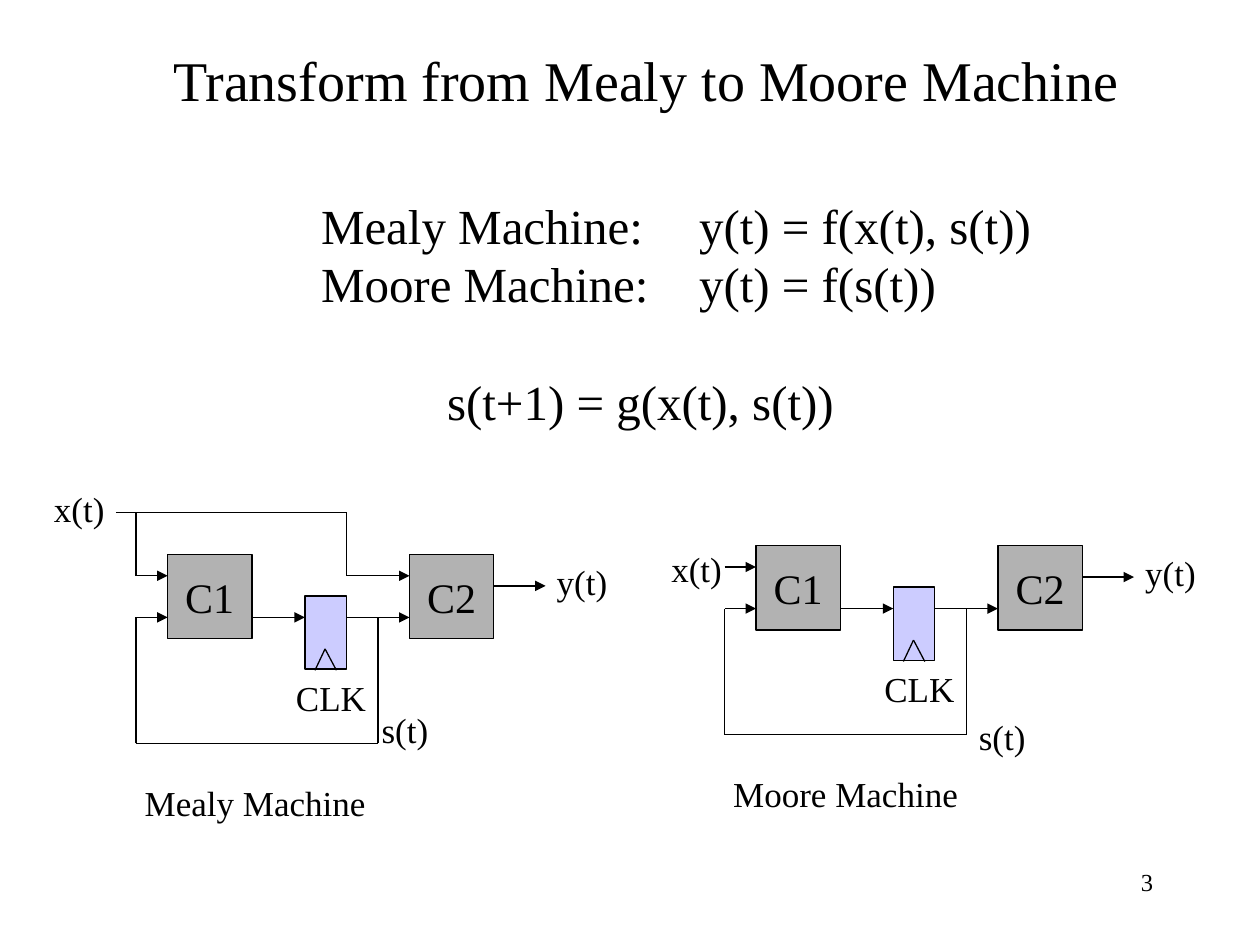
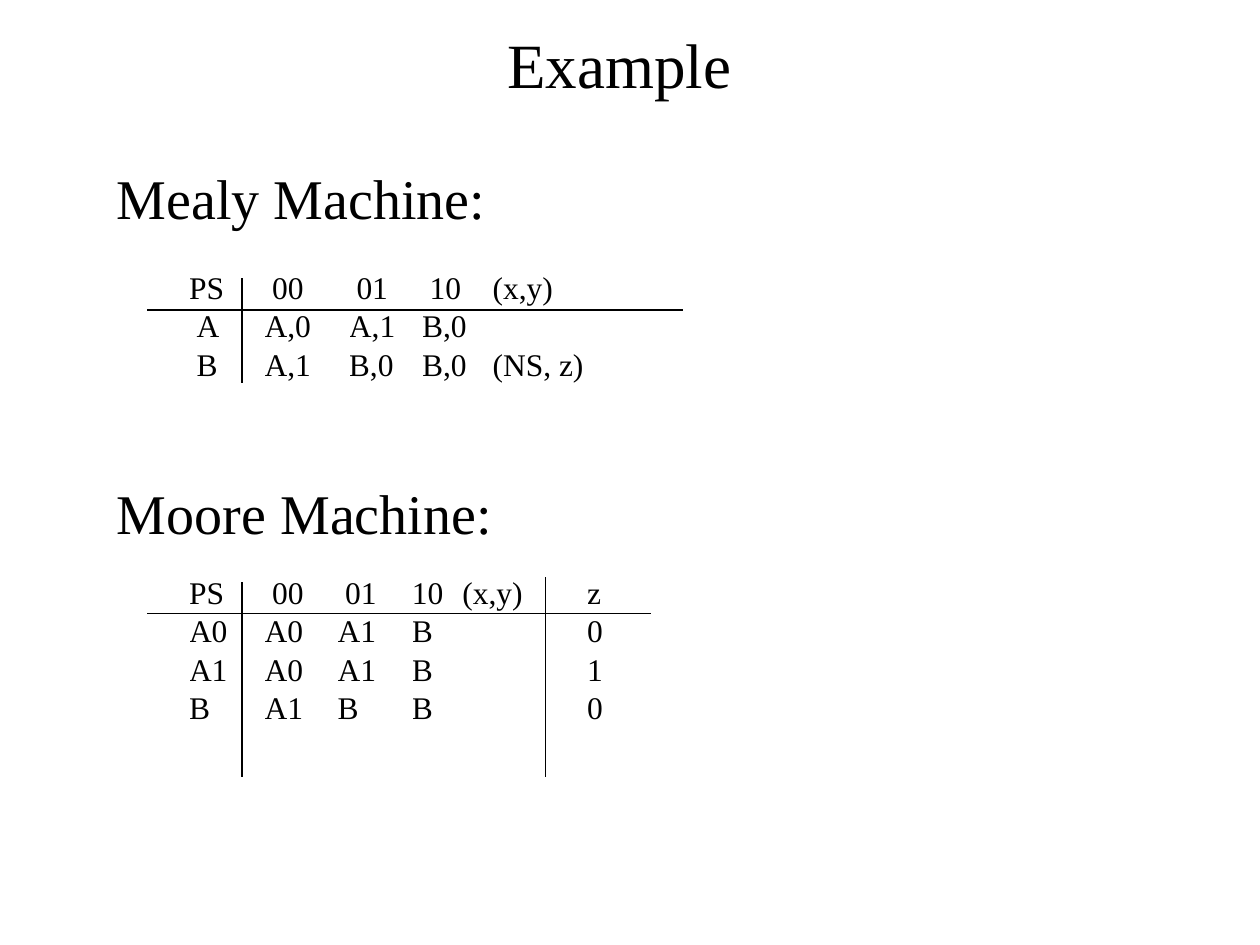
from itertools import pairwise

from lxml import etree
from pptx import Presentation
from pptx.dml.color import RGBColor
from pptx.enum.shapes import MSO_CONNECTOR, MSO_SHAPE
from pptx.enum.text import MSO_ANCHOR, MSO_AUTO_SIZE, PP_ALIGN
from pptx.oxml.ns import qn
from pptx.util import Inches, Pt

BLACK = RGBColor(0x00, 0x00, 0x00)
LOGIC_GRAY = RGBColor(0xB2, 0xB2, 0xB2)
REGISTER_BLUE = RGBColor(0xCC, 0xCC, 0xFF)
FONT = "Times New Roman"
LINE_WIDTH = Pt(0.75)
LINE_SPACING = 1.2
TITLE_ONLY = 5
ROW_HEIGHT = 0.305
CELL_INDENT = 0.06


class Deck:
    def __init__(self):
        self.prs = Presentation()
        self.prs.slide_width = Inches(10)
        self.prs.slide_height = Inches(7.5)
        self.s = None

    def format(self, p, size, align=PP_ALIGN.LEFT):
        p.alignment = align
        for r in p.runs:
            r.font.name = FONT
            r.font.size = Pt(size)
            r.font.color.rgb = BLACK

    def slide(self, title, left, width, height, size):
        self.s = self.prs.slides.add_slide(self.prs.slide_layouts[TITLE_ONLY])
        sp = self.s.shapes.title
        sp.left, sp.top = Inches(left), Inches(0)
        sp.width, sp.height = Inches(width), Inches(height)
        tf = sp.text_frame
        tf.text = title
        tf.auto_size = MSO_AUTO_SIZE.NONE
        tf.vertical_anchor = MSO_ANCHOR.MIDDLE
        self.format(tf.paragraphs[0], size, PP_ALIGN.CENTER)

    def text(self, text, left, top, width, height, size,
             align=PP_ALIGN.LEFT, tabs=()):
        box = self.s.shapes.add_textbox(
            Inches(left), Inches(top), Inches(width), Inches(height))
        tf = box.text_frame
        tf.text = text
        tf.word_wrap = True
        if align == PP_ALIGN.LEFT:
            tf.margin_right = 0
        for p in tf.paragraphs:
            p.line_spacing = Pt(size * LINE_SPACING)
            if tabs:
                tab_list = etree.SubElement(p._p.get_or_add_pPr(), qn("a:tabLst"))
                for tab in tabs:
                    etree.SubElement(tab_list, qn("a:tab"),
                                     pos=str(Inches(tab)), algn="l")
            self.format(p, size, align)
        return tf

    def label(self, text, at, width):
        self.text(text, *at, width, 0.44, 20)

    def block(self, at, width, height, fill, text=""):
        sp = self.s.shapes.add_shape(
            MSO_SHAPE.RECTANGLE, Inches(at[0]), Inches(at[1]),
            Inches(width), Inches(height))
        sp.shadow.inherit = False
        sp.fill.solid()
        sp.fill.fore_color.rgb = fill
        sp.line.color.rgb = BLACK
        sp.line.width = LINE_WIDTH
        if text:
            tf = sp.text_frame
            tf.text = text
            tf.word_wrap = False
            tf.vertical_anchor = MSO_ANCHOR.MIDDLE
            self.format(tf.paragraphs[0], 24, PP_ALIGN.CENTER)

    def wire(self, *points, arrow=False):
        """Join the points with straight lines; an arrow goes on the last."""
        for (x1, y1), (x2, y2) in pairwise(points):
            line = self.s.shapes.add_connector(
                MSO_CONNECTOR.STRAIGHT,
                Inches(x1), Inches(y1), Inches(x2), Inches(y2))
            line.line.color.rgb = BLACK
            line.line.width = LINE_WIDTH
            etree.SubElement(line._element.spPr, qn("a:effectLst"))
        if arrow:
            etree.SubElement(line.line._get_or_add_ln(), qn("a:tailEnd"),
                             type="triangle")

    def table(self, rows, edges, top, indented):
        """Plain table whose columns lie between edges; indented holds (row, column)."""
        tbl = self.s.shapes.add_table(
            len(rows), len(edges) - 1, Inches(edges[0]), Inches(top),
            Inches(edges[-1] - edges[0]), Inches(ROW_HEIGHT * len(rows))).table
        tbl.first_row = tbl.horz_banding = False
        for column, (left, right) in zip(tbl.columns, pairwise(edges)):
            column.width = Inches(right - left)
        for i, row in enumerate(rows):
            tbl.rows[i].height = Inches(ROW_HEIGHT)
            for j, value in enumerate(row):
                cell = tbl.cell(i, j)
                cell.fill.background()
                cell.margin_top = cell.margin_bottom = cell.margin_right = 0
                cell.margin_left = Inches(CELL_INDENT if (i, j) in indented else 0)
                cell.vertical_anchor = MSO_ANCHOR.MIDDLE
                cell.text = value
                self.format(cell.text_frame.paragraphs[0], 18)


def offset_from(left, top):
    return lambda dx, dy: (left + dx, top + dy)


def draw_machine(deck, at, name, state_label):
    """Draw the parts both machines share; at(0, 0) is the corner of C1."""
    deck.block(at(0, 0), 0.67, 0.67, LOGIC_GRAY, "C1")
    deck.block(at(1.92, 0), 0.67, 0.67, LOGIC_GRAY, "C2")
    deck.block(at(1.09, 0.33), 0.33, 0.58, REGISTER_BLUE)
    deck.wire(at(1.17, 0.92), at(1.25, 0.75), at(1.34, 0.92))
    deck.label("CLK", at(0.92, 0.92), 0.75)
    deck.wire(at(0.67, 0.5), at(1.09, 0.5), arrow=True)
    deck.wire(at(1.42, 0.5), at(1.92, 0.5), arrow=True)
    deck.wire(at(2.59, 0.25), at(3, 0.25), arrow=True)
    deck.label("y(t)", at(2.99, 0), 0.6)
    deck.wire(at(1.67, 0.5), at(1.67, 1.5), at(-0.25, 1.5),
              at(-0.25, 0.5), at(0, 0.5), arrow=True)
    deck.label("s(t)", state_label, 0.57)
    deck.label(name, at(-0.28, 1.75), 1.98)


def transform_slide(deck):
    deck.slide("Transform from Mealy to Moore Machine", 0.92, 8.42, 1.25, 32)
    tf = deck.text("Mealy Machine: \ty(t) = f(x(t), s(t))\n"
                   "Moore Machine:\ty(t) = f(s(t))\n"
                   "\ts(t+1) = g(x(t), s(t))",
                   2.45, 1.5, 5.83, 1.97, 28, tabs=(1, 3))
    tf.paragraphs[2].space_before = Pt(28 * LINE_SPACING)

    at = offset_from(1.33, 4.4)
    draw_machine(deck, at, "Mealy Machine", (2.93, 5.57))
    deck.label("x(t)", at(-1, -0.58), 0.6)
    deck.wire(at(-0.41, -0.33), at(1.42, -0.33), at(1.42, 0.17),
              at(1.92, 0.17), arrow=True)
    deck.wire(at(-0.25, -0.33), at(-0.25, 0.17), at(0, 0.17), arrow=True)

    at = offset_from(6, 4.33)
    draw_machine(deck, at, "Moore Machine", (7.67, 5.63))
    deck.label("x(t)", at(-0.77, -0.03), 0.6)
    deck.wire(at(-0.25, 0.17), at(0, 0.17), arrow=True)

    deck.text("3", 7.17, 6.83, 2.08, 0.5, 14, PP_ALIGN.RIGHT)


def example_slide(deck):
    deck.slide("Example", 0.75, 8.33, 1, 36)

    deck.text("Mealy Machine:", 0.83, 1.25, 7.92, 0.64, 32)
    mealy = [["PS", "00", "01", "10", "(x,y)"],
             ["A", "A,0", "A,1", "B,0", ""],
             ["B", "A,1", "B,0", "B,0", "(NS, z)"]]
    deck.table(mealy, [1.5, 2.1, 2.77, 3.35, 3.91, 5.42], 2.14,
               {(1, 0), (2, 0), (0, 1), (0, 2), (0, 3)})
    deck.wire((1.17, 2.46), (5.42, 2.46))
    deck.wire((1.92, 2.21), (1.92, 3.04))

    deck.text("Moore Machine:", 0.83, 3.75, 7.92, 0.64, 32)
    moore = [["PS", "00", "01", "10", "(x,y)", "z"],
             ["A0", "A0", "A1", "B", "", "0"],
             ["A1", "A0", "A1", "B", "", "1"],
             ["B", "A1", "B", "B", "", "0"]]
    deck.table(moore, [1.5, 2.1, 2.68, 3.27, 3.67, 4.66, 5.17], 4.56,
               {(0, 1), (0, 2)})
    deck.wire((1.17, 4.87), (5.17, 4.87))
    deck.wire((1.92, 4.62), (1.92, 6.17))
    deck.wire((4.33, 4.58), (4.33, 6.17))


def main():
    deck = Deck()
    transform_slide(deck)
    example_slide(deck)
    deck.prs.save("out.pptx")


if __name__ == "__main__":
    main()
